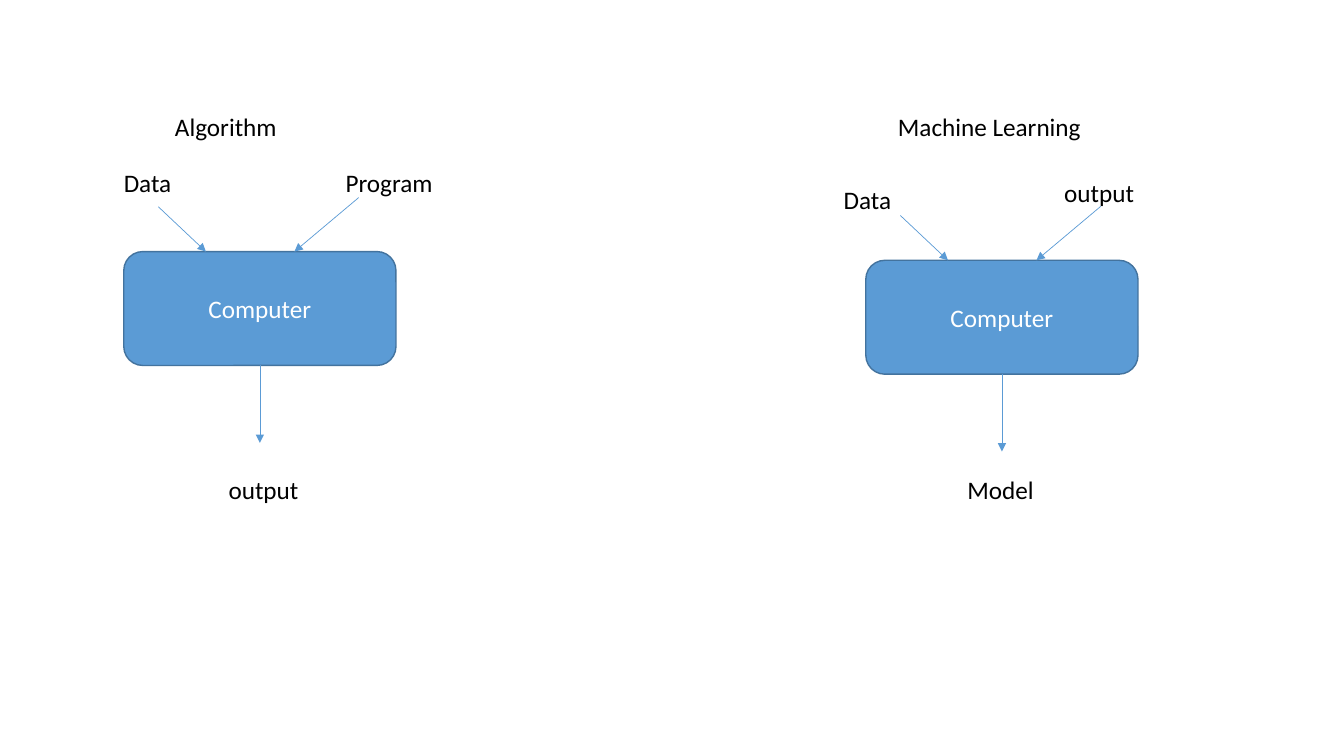
from dataclasses import dataclass

from lxml import etree
from pptx import Presentation
from pptx.dml.color import RGBColor
from pptx.enum.shapes import MSO_CONNECTOR, MSO_SHAPE
from pptx.enum.text import MSO_ANCHOR, MSO_AUTO_SIZE, PP_ALIGN
from pptx.oxml.ns import qn
from pptx.util import Cm, Pt

STRAIGHT = MSO_CONNECTOR.STRAIGHT
ROUNDED = MSO_SHAPE.ROUNDED_RECTANGLE
MIDDLE = MSO_ANCHOR.MIDDLE
GROW = MSO_AUTO_SIZE.SHAPE_TO_FIT_TEXT
CENTER = PP_ALIGN.CENTER
BOTTOM_SITE = 2
BLANK_LAYOUT = 6

# Lengths in centimetres
COMPUTER_WIDTH, COMPUTER_HEIGHT = 6.86, 2.87
RESULT_ARROW_LENGTH = 1.95
LABEL_HEIGHT = 1.02
HEADING_TOP, RESULT_TOP = 2.67, 11.84
# Input arrows, relative to the top left corner of the computer
INPUT_ARROWS = [((0.87, -1.13), (2.07, 0)), ((5.92, -1.36), (4.3, 0))]

# Computer corner, then labels as (text, left, top, width)
PROCESSES = [
    ((3.12, 6.34), [
        ("Algorithm", 4.16, HEADING_TOP, 3.92),
        ("Data", 2.87, 4.09, 3.1),
        ("Program", 8.46, 4.09, 2.82),
        ("output", 5.51, RESULT_TOP, 4.14),
    ]),
    ((21.82, 6.56), [
        ("Machine Learning", 22.38, HEADING_TOP, 8.18),
        ("Data", 21.01, 4.52, 3.1),
        ("output", 26.57, 4.34, 4.14),
        ("Model", 24.13, RESULT_TOP, 3.63),
    ]),
]


@dataclass(frozen=True)
class Theme:
    font: str = "Calibri"
    text_size: Pt = Pt(18)
    text: RGBColor = RGBColor(0x00, 0x00, 0x00)
    text_on_fill: RGBColor = RGBColor(0xFF, 0xFF, 0xFF)
    accent: RGBColor = RGBColor(0x5B, 0x9B, 0xD5)
    outline: RGBColor = RGBColor(0x43, 0x73, 0x9E)
    outline_width: Pt = Pt(1)
    arrow_width: Pt = Pt(0.5)


class DiagramSlide:
    def __init__(self, slide, theme):
        self.slide = slide
        self.theme = theme

    def set_text(self, frame, text, color):
        paragraph = frame.paragraphs[0]
        paragraph.text = text
        paragraph.font.name = self.theme.font
        paragraph.font.size = self.theme.text_size
        paragraph.font.color.rgb = color
        return paragraph

    def label(self, text, left, top, width):
        box = self.slide.shapes.add_textbox(Cm(left), Cm(top), Cm(width), Cm(LABEL_HEIGHT))
        box.text_frame.word_wrap = True
        box.text_frame.auto_size = GROW
        self.set_text(box.text_frame, text, self.theme.text)

    def computer(self, group, left, top):
        box = group.shapes.add_shape(
            ROUNDED, Cm(left), Cm(top), Cm(COMPUTER_WIDTH), Cm(COMPUTER_HEIGHT))
        box.shadow.inherit = False
        box.fill.solid()
        box.fill.fore_color.rgb = self.theme.accent
        box.line.color.rgb = self.theme.outline
        box.line.width = self.theme.outline_width
        box.text_frame.vertical_anchor = MIDDLE
        self.set_text(box.text_frame, "Computer", self.theme.text_on_fill).alignment = CENTER
        return box

    def arrow(self, group, start, end):
        connector = group.shapes.add_connector(
            STRAIGHT, *(Cm(length) for length in (*start, *end)))
        connector.line.color.rgb = self.theme.accent
        connector.line.width = self.theme.arrow_width
        properties = connector.element.spPr
        etree.SubElement(properties.find(qn("a:ln")), qn("a:tailEnd"), type="triangle")
        etree.SubElement(properties, qn("a:effectLst"))
        return connector

    def flow(self, left, top):
        """Draw the computer with two arrows in and one arrow out."""
        group = self.slide.shapes.add_group_shape()
        computer = self.computer(group, left, top)
        for start, end in INPUT_ARROWS:
            self.arrow(group, *((left + x, top + y) for x, y in (start, end)))
        center, bottom = left + COMPUTER_WIDTH / 2, top + COMPUTER_HEIGHT
        result_arrow = self.arrow(
            group, (center, bottom), (center, bottom + RESULT_ARROW_LENGTH))
        result_arrow.begin_connect(computer, BOTTOM_SITE)


def main():
    presentation = Presentation()
    presentation.slide_width, presentation.slide_height = Cm(33.87), Cm(19.05)
    slide = presentation.slides.add_slide(presentation.slide_layouts[BLANK_LAYOUT])
    diagram = DiagramSlide(slide, Theme())
    for corner, labels in PROCESSES:
        diagram.flow(*corner)
        for label in labels:
            diagram.label(*label)
    presentation.save("out.pptx")


if __name__ == "__main__":
    main()
